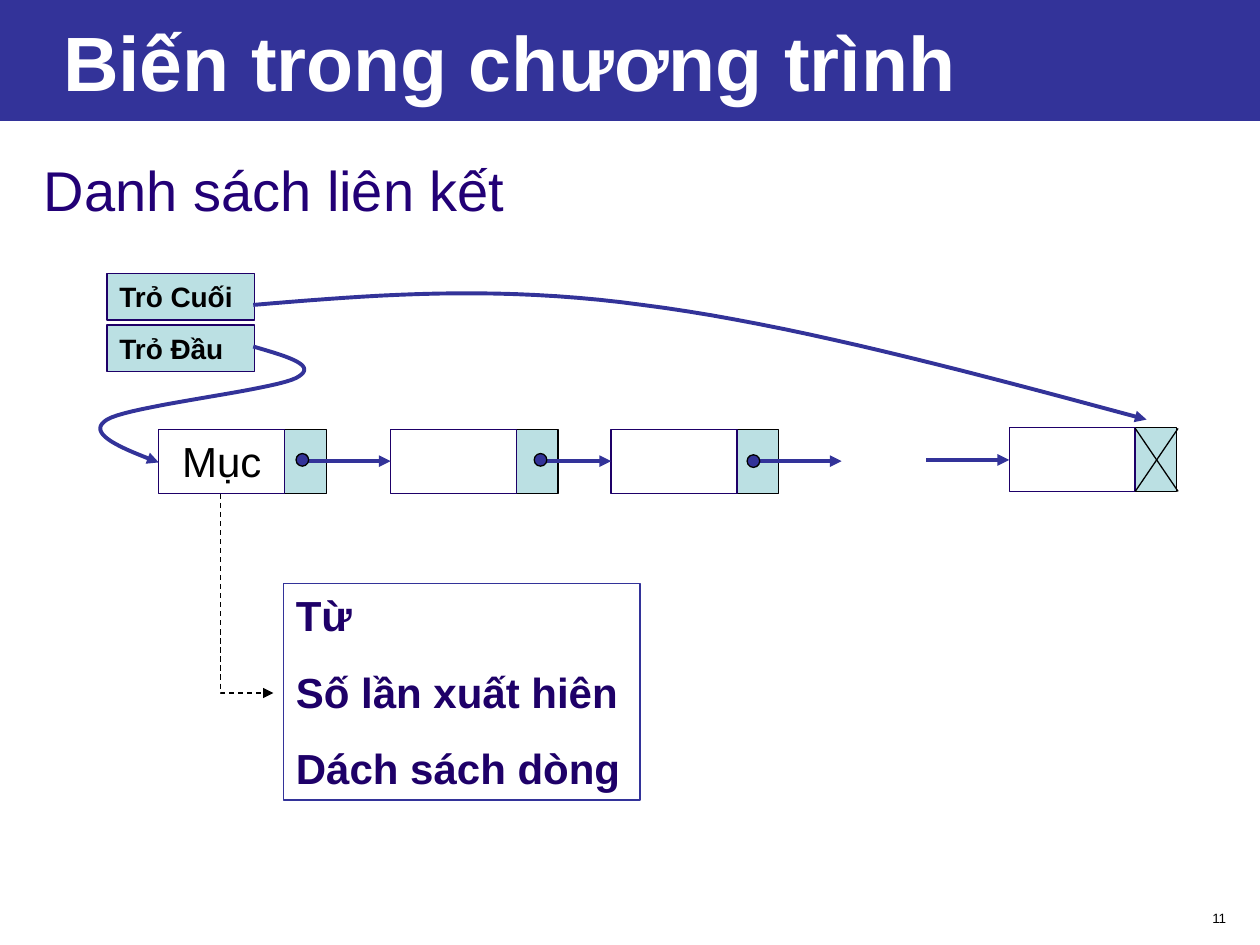
from pptx import Presentation
from pptx.dml.color import RGBColor
from pptx.enum.dml import MSO_LINE_DASH_STYLE as Dash
from pptx.enum.shapes import MSO_CONNECTOR as Connector, MSO_SHAPE as Shape
from pptx.enum.text import MSO_ANCHOR as Anchor, PP_ALIGN as Align
from pptx.oxml.ns import qn
from pptx.util import Inches, Pt
from lxml.etree import SubElement

COLORS = {"blue": "333399", "teal": "BBE0E3", "navy": "1E0068",
          "violet": "220076", "black": "000000", "white": "FFFFFF"}
COLORS = {name: RGBColor.from_string(value) for name, value in COLORS.items()}
THIN, THICK = 0.74, 2.24


def write_text(shape, lines, size, color, bold=False, align=Align.LEFT,
               before=0, spacing=1.0, anchor=Anchor.TOP, left=0.1):
    frame = shape.text_frame
    frame_format = {"word_wrap": True, "vertical_anchor": anchor,
                    "margin_left": Inches(left), "margin_right": Inches(0.1),
                    "margin_top": Inches(0.05), "margin_bottom": Inches(0.05)}
    for name, value in frame_format.items():
        setattr(frame, name, value)
    frame.text = "\n".join(lines)
    for paragraph in frame.paragraphs:
        paragraph_format = {"alignment": align, "space_before": Pt(before),
                            "line_spacing": spacing}
        for name, value in paragraph_format.items():
            setattr(paragraph, name, value)
        font = paragraph.runs[0].font
        for name, value in {"name": "Arial", "size": Pt(size), "bold": bold}.items():
            setattr(font, name, value)
        font.color.rgb = COLORS[color]


def style_shape(shape, line, width=THIN, fill=None, arrow=False):
    if fill:
        shape.fill.solid()
        shape.fill.fore_color.rgb = COLORS[fill]
    elif hasattr(shape, "fill"):
        shape.fill.background()
    shape.line.color.rgb = COLORS[line]
    shape.line.width = Pt(width)
    if arrow:
        SubElement(shape.line._get_or_add_ln(), qn("a:tailEnd"), type="triangle")
    if hasattr(shape, "shadow"):
        shape.shadow.inherit = False
    else:
        SubElement(shape._element.spPr, qn("a:effectLst"))


presentation = Presentation()
presentation.slide_width, presentation.slide_height = Inches(10), Inches(7.5)
slide = presentation.slides.add_slide(presentation.slide_layouts[5])
shapes = slide.shapes

# Title band
title = shapes.title
title.left, title.top, title.width, title.height = map(Inches, (0, 0, 10, 0.96))
title.fill.solid()
title.fill.fore_color.rgb = COLORS["blue"]
write_text(title, ["Biến trong chương trình"], 44, "white", bold=True,
           anchor=Anchor.MIDDLE, left=0.5)

# Subtitle and page number
subtitle = shapes.add_textbox(*map(Inches, (0.25, 1.08, 9.5, 1)))
write_text(subtitle, ["Danh sách liên kết"], 32, "violet", before=8, spacing=1.2)
page_number = shapes.add_textbox(*map(Inches, (7.75, 7.17, 2.08, 0.24)))
write_text(page_number, ["11"], 7.7, "black", align=Align.RIGHT)

# List nodes: an item cell followed by a pointer cell
for left, top, label in ((1.26, 3.41, "Mục"), (3.1, 3.41, ""),
                         (4.85, 3.41, ""), (8.01, 3.39, "")):
    pointer = shapes.add_shape(Shape.RECTANGLE, *map(Inches, (left + 1, top, 0.33, 0.51)))
    style_shape(pointer, "black", fill="teal")
    item = shapes.add_shape(Shape.RECTANGLE, *map(Inches, (left, top, 1, 0.51)))
    style_shape(item, "navy")
    if label:
        write_text(item, [label], 24, "black", align=Align.CENTER, before=15)

# Head and tail pointers
for top, label in ((2.58, "Trỏ Đầu"), (2.17, "Trỏ Cuối")):
    box = shapes.add_shape(Shape.RECTANGLE, *map(Inches, (0.85, top, 1.17, 0.37)))
    style_shape(box, "navy", fill="teal")
    write_text(box, [label], 16, "black", bold=True, before=10)

# Links between nodes and the cross in the last pointer cell
links = [(2.43, 3.66, 3.1, 3.66), (4.26, 3.66, 4.85, 3.66),
         (6.01, 3.66, 6.68, 3.66), (7.35, 3.65, 8.01, 3.65)]
cross = [(9.01, 3.4, 9.35, 3.9), (9.35, 3.4, 9.01, 3.9)]
for ends in links + cross:
    connector = shapes.add_connector(Connector.STRAIGHT, *map(Inches, ends))
    if ends in links:
        style_shape(connector, "blue", THICK, arrow=True)
    else:
        style_shape(connector, "black")

# Dots where links start
for left, top in ((2.35, 3.6), (4.24, 3.6), (5.93, 3.61)):
    dot = shapes.add_shape(Shape.OVAL, *map(Inches, (left, top, 0.1, 0.1)))
    style_shape(dot, "black", fill="blue")

# Curved pointer arrows, each a chain of cubic Bezier pieces
STEPS = 20
tail_curve = [(2.01, 2.42), (2.97, 2.34), (3.92, 2.26), (5.1, 2.42),
              (6.28, 2.57), (7.69, 2.95), (9.1, 3.33)]
head_curve = [(2.01, 2.75), (2.28, 2.83), (2.54, 2.9), (2.35, 3), (2.15, 3.1),
              (1.03, 3.22), (0.85, 3.33), (0.67, 3.44), (0.97, 3.56), (1.26, 3.67)]
routes = []
for controls in (tail_curve, head_curve):
    points = controls[:1]
    for start in range(0, len(controls) - 1, 3):
        piece = controls[start:start + 4]
        for step in range(1, STEPS + 1):
            t = step / STEPS
            weights = ((1 - t) ** 3, 3 * t * (1 - t) ** 2, 3 * t * t * (1 - t), t ** 3)
            points.append(tuple(sum(w * point[axis] for w, point in zip(weights, piece))
                                for axis in (0, 1)))
    routes.append((points, "blue", THICK, None))

# Dashed elbow from the item to its fields
routes.append(([(1.75, 3.92), (1.75, 5.5), (2.17, 5.5)], "black", THIN, Dash.DASH))
for points, color, width, dash in routes:
    start, *rest = [(Inches(x), Inches(y)) for x, y in points]
    builder = shapes.build_freeform(*start)
    builder.add_line_segments(rest, close=False)
    route = builder.convert_to_shape()
    if dash:
        route.line.dash_style = dash
    style_shape(route, color, width, arrow=True)

# Fields of an item
fields = shapes.add_shape(Shape.RECTANGLE, *map(Inches, (2.25, 4.63, 2.83, 1.72)))
style_shape(fields, "blue")
write_text(fields, ["Từ", "Số lần xuất hiên", "Dách sách dòng"], 24, "navy",
           bold=True, before=15)

presentation.save("out.pptx")
